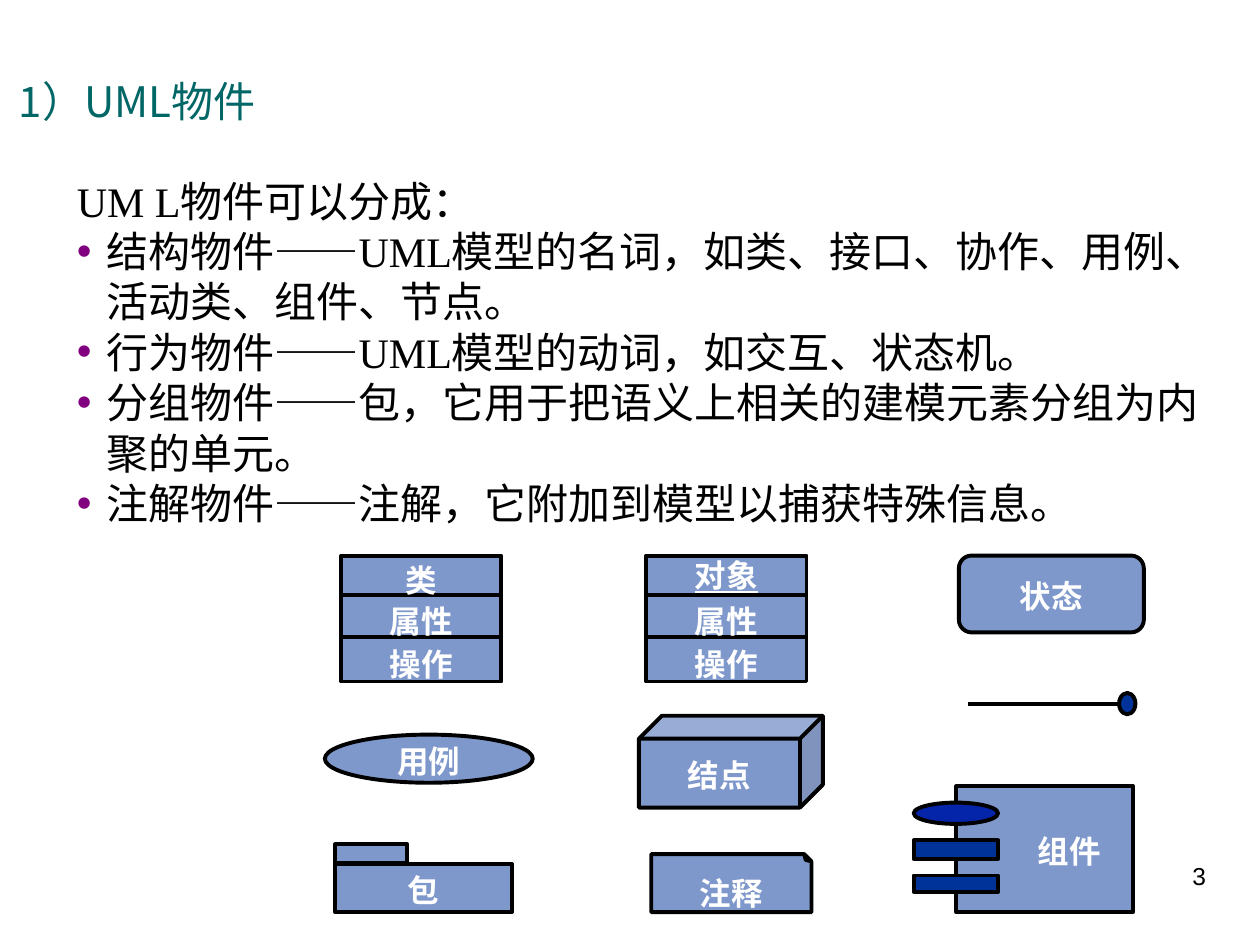
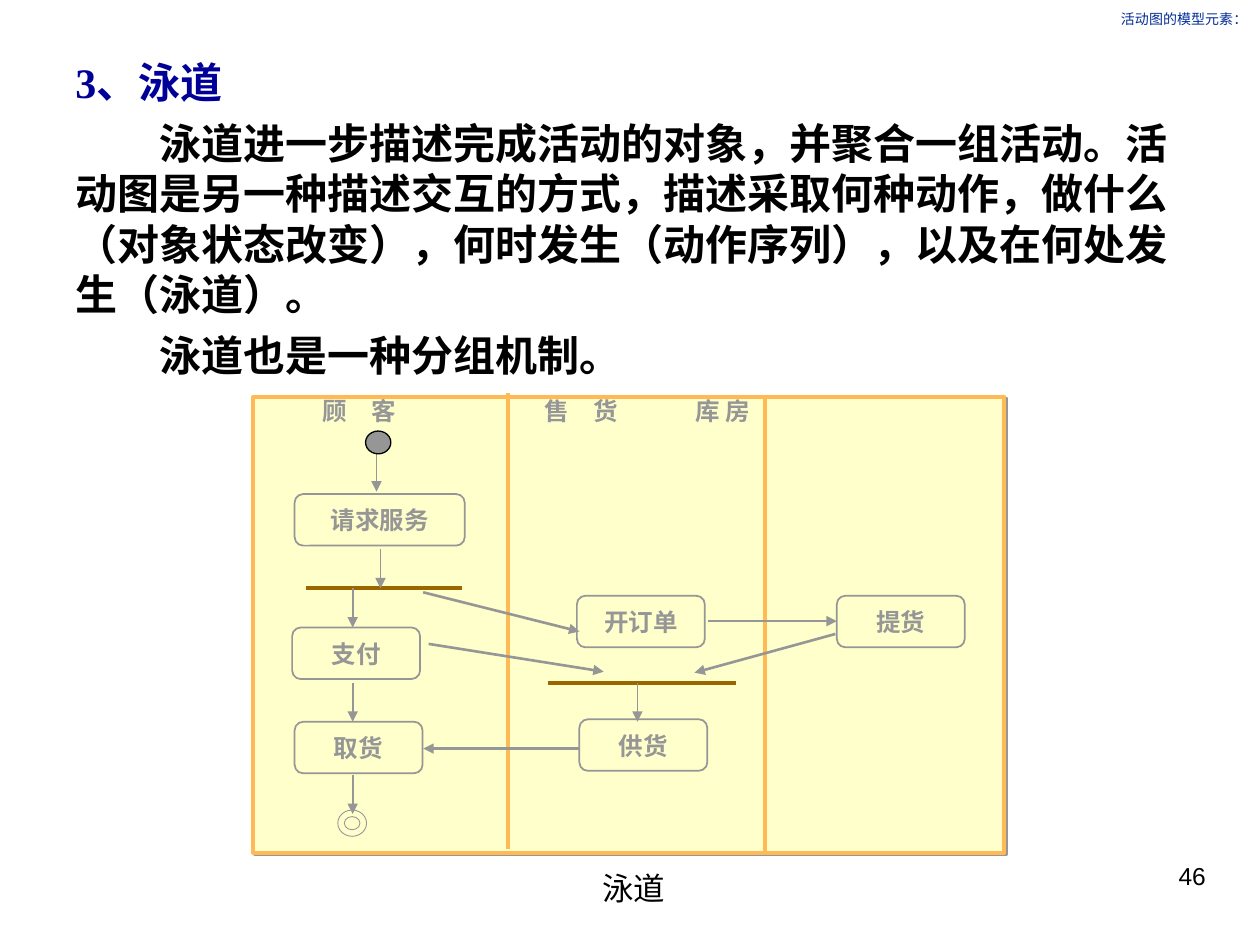
from dataclasses import dataclass

from lxml import etree
from pptx import Presentation
from pptx.dml.color import RGBColor
from pptx.enum.shapes import MSO_CONNECTOR, MSO_SHAPE
from pptx.enum.text import MSO_ANCHOR, PP_ALIGN
from pptx.oxml.ns import qn
from pptx.util import Cm, Pt

LEFT, MID, RIGHT = PP_ALIGN.LEFT, PP_ALIGN.CENTER, PP_ALIGN.RIGHT
TOP, CENTRE = MSO_ANCHOR.TOP, MSO_ANCHOR.MIDDLE
STRAIGHT = MSO_CONNECTOR.STRAIGHT
RECT, ROUND, OVAL = MSO_SHAPE.RECTANGLE, MSO_SHAPE.ROUNDED_RECTANGLE, MSO_SHAPE.OVAL
CUBE, NOTE, DONUT = MSO_SHAPE.CUBE, MSO_SHAPE.FOLDED_CORNER, MSO_SHAPE.DONUT
START = MSO_SHAPE.FLOWCHART_CONNECTOR


@dataclass(frozen=True)
class Theme:
    # Colours
    ink: str = "000000"
    white: str = "FFFFFF"
    teal: str = "006666"
    purple: str = "800080"
    blue: str = "003399"
    royal: str = "0424AA"
    navy: str = "000099"
    head: str = "022D98"
    grey: str = "969696"
    cream: str = "FFFFCC"
    amber: str = "FFBA55"
    brown: str = "996600"
    # Fonts
    serif: str = "Times New Roman"
    sans: str = "Arial"
    asian: str = "Noto Sans CJK SC"
    # Type sizes and line widths in points
    body: int = 24
    label: int = 18
    small: int = 14
    dot: int = 12
    tiny: int = 8
    thick: float = 2.25
    flow: float = 1.5
    thin: float = 1


T = Theme()
TIGHT = 1.08


def rgb(code):
    return RGBColor.from_string(code)


def add(parent, tag, **attrs):
    """Append a DrawingML element."""
    node = etree.SubElement(parent, qn("a:" + tag))
    for key, value in attrs.items():
        node.set(key, str(value))
    return node


def write(shape, text, size=T.body, color=T.ink, font=T.asian, bold=False,
          line=False, align=LEFT, lead=1.2, before=0, first=0, hang=0):
    """Add a paragraph to a shape, hung on a bullet when hang is given."""
    frame = shape.text_frame
    para = frame.add_paragraph() if frame.text else frame.paragraphs[0]
    para.alignment = align
    para.line_spacing = Pt(round(size * lead, 1))
    para.space_before = Pt(before)
    props = para._p.get_or_add_pPr()
    props.set("marL", str(Cm(hang)))
    props.set("indent", str(Cm(first - hang)))
    if hang:
        add(add(props, "buClr"), "srgbClr", val=T.purple)
        add(props, "buFont", typeface=T.sans)
        add(props, "buChar", char="•")
    run = para.add_run()
    run.text = text
    face = run.font
    face.size, face.bold, face.underline, face.name = Pt(size), bold, line, font
    face.color.rgb = rgb(color)
    add(run._r.get_or_add_rPr(), "ea", typeface=T.asian)


def inset(shape, left=0.25, anchor=TOP):
    frame = shape.text_frame
    frame.word_wrap = True
    frame.vertical_anchor = anchor
    frame.margin_left, frame.margin_right = Cm(left), Cm(0.25)
    frame.margin_top, frame.margin_bottom = Cm(0.2), Cm(0.13)


def text_box(slide, x, y, w, h, anchor=TOP):
    shape = slide.shapes.add_textbox(Cm(x), Cm(y), Cm(w), Cm(h))
    inset(shape, anchor=anchor)
    return shape


def draw(slide, kind, x, y, w, h, fill=None, edge=T.ink, width=T.thick, clear=False):
    shape = slide.shapes.add_shape(kind, Cm(x), Cm(y), Cm(w), Cm(h))
    shape.shadow.inherit = False
    if fill:
        shape.fill.solid()
        shape.fill.fore_color.rgb = rgb(fill)
        if clear:
            color = shape._element.spPr.find(qn("a:solidFill"))[0]
            add(color, "alpha", val=50000)
    else:
        shape.fill.background()
    shape.line.color.rgb = rgb(edge)
    shape.line.width = Pt(width)
    inset(shape, anchor=CENTRE)
    return shape


def link(slide, x1, y1, x2, y2, color=T.ink, width=T.thick, arrow=False):
    line = slide.shapes.add_connector(STRAIGHT, Cm(x1), Cm(y1), Cm(x2), Cm(y2))
    line.line.color.rgb = rgb(color)
    line.line.width = Pt(width)
    if arrow:
        add(line.line._get_or_add_ln(), "tailEnd", type="triangle")
    add(line._element.spPr, "effectLst")


def page(slide, number):
    box = text_box(slide, 18.21, 17.15, 6.35, 1.32)
    write(box, number, size=T.small, font=T.sans, align=RIGHT)


# UML symbols

def name(shape, text, **form):
    write(shape, text, size=T.label, color=T.white, font=T.serif, bold=True,
          align=MID, **form)


def glass(slide, kind, x, y, w, h, text=""):
    shape = draw(slide, kind, x, y, w, h, fill=T.blue, clear=True)
    if text:
        name(shape, text)
    return shape


def table_box(slide, x, y, w, h, title, lift, line):
    """Class or object: three rows split by two lines."""
    glass(slide, RECT, x, y, w, h)
    for drop in (0.79, 1.65):
        link(slide, x, y + drop, x + w, y + drop)
    for text, drop, under in ((title, -lift, line), ("属性", 0.74, False),
                              ("操作", 1.6, False)):
        name(text_box(slide, x, y + drop, w, 1.02), text, line=under)


def package_box(slide, x, y, w, h):
    glass(slide, RECT, x, y + 0.4, w, h - 0.4, "包")
    glass(slide, RECT, x, y, 1.45, 0.38)


def note_box(slide, x, y, w, h):
    shape = glass(slide, NOTE, x, y, w, h)
    props = shape._element.spPr
    props.find(qn("a:xfrm")).set("flipV", "1")
    folds = props.find(qn("a:prstGeom")).find(qn("a:avLst"))
    add(folds, "gd", name="adj", fmla="val 12500")
    name(text_box(slide, x, y + 0.2, w, 1.02), "注释")


def port(slide, x, y, w, h):
    """Interface: a line ending in a small ball."""
    link(slide, x, y + h / 2, x + w - 0.3, y + h / 2)
    draw(slide, OVAL, x + w - 0.33, y, 0.33, h, fill=T.blue)


def part_box(slide, x, y, w, h):
    """Component with its lugs on the left edge."""
    shape = glass(slide, RECT, x, y, w, h, "组件")
    inset(shape, left=1.24, anchor=CENTRE)
    for kind, drop, tall, fill in ((RECT, 1.09, 0.38, T.blue),
                                   (RECT, 1.8, 0.33, T.blue),
                                   (OVAL, 0.33, 0.43, T.royal)):
        draw(slide, kind, x - 0.86, y + drop, 1.7, tall, fill=fill)


def things(slide):
    # Title and text
    write(text_box(slide, 0.13, 1.32, 5.87, 1.27), "1）UML物件", color=T.teal)
    box = text_box(slide, 1.3, 3.33, 23.6, 7.37)
    write(box, "UM L物件可以分成：", font=T.serif)
    for text in (
        "结构物件——UML模型的名词，如类、接口、协作、用例、活动类、组件、节点。",
        "行为物件——UML模型的动词，如交互、状态机。",
        "分组物件——包，它用于把语义上相关的建模元素分组为内聚的单元。",
        "注解物件——注解，它附加到模型以捕获特殊信息。",
    ):
        write(box, text, font=T.serif, hang=0.6)
    # Symbols, column by column
    table_box(slide, 6.88, 11.2, 3.23, 2.54, "类", 0.1, False)
    glass(slide, OVAL, 6.55, 14.81, 4.19, 0.97, "用例")
    package_box(slide, 6.76, 17.02, 3.56, 1.37)
    table_box(slide, 13.03, 11.2, 3.23, 2.54, "对象", 0.2, True)
    glass(slide, CUBE, 12.88, 14.43, 3.71, 1.85, "结点")
    note_box(slide, 13.13, 17.22, 3.23, 1.17)
    glass(slide, ROUND, 19.33, 11.2, 3.73, 1.55, "状态")
    port(slide, 19.51, 13.97, 3.38, 0.43)
    part_box(slide, 19.28, 15.85, 3.56, 2.54)
    page(slide, "3")


# Swimlane diagram

def lanes(slide, x, y, w, h):
    # Frame, dividers and lane names
    frame = draw(slide, RECT, x, y, w, h, fill=T.cream, edge=T.amber)
    effects = frame._element.spPr.find(qn("a:effectLst"))
    shade = add(effects, "outerShdw", dist=Pt(1.4), dir=2700000)
    add(shade, "srgbClr", val=T.grey)
    for left, drop in ((5.13, -0.08), (10.31, 0)):
        link(slide, x + left, y + drop, x + left, y + drop + h, color=T.amber)
    form = dict(color=T.grey, bold=True, lead=TIGHT)
    for left, text in ((1.14, "顾　客"), (5.61, "售　货"), (8.66, "库 房")):
        box = text_box(slide, x + left, y - 0.15, 2.5, 0.79)
        write(box, text, size=T.small, **form)
    # Start and end
    box = text_box(slide, x + 1.42, y + 0.51, 2.29, 0.71)
    write(box, "●", size=T.dot, align=MID, **form)
    draw(slide, DONUT, x + 1.7, y + 8.33, 0.58, 0.53, edge=T.grey, width=0.5)
    # Actions
    for text, left, drop, wide in (
        ("请求服务", 0.83, 1.96, 3.43), ("支付", 0.78, 4.65, 2.58),
        ("取货", 0.83, 6.55, 2.58), ("提货", 11.76, 4.01, 2.58),
        ("开订单", 6.52, 4.01, 2.58), ("供货", 6.57, 6.5, 2.58),
    ):
        box = draw(slide, ROUND, x + left, y + drop, wide, 1.04,
                   edge=T.grey, width=T.thin)
        write(box, text, size=T.small, align=MID, **form)
    # Fork and join bars
    for left, right, drop in ((1.06, 4.21, 3.86), (5.94, 9.72, 5.77)):
        link(slide, x + left, y + drop, x + right, y + drop, color=T.brown)
    # Steps down a lane
    for left, top, end in (
        (2.48, 1.04, 1.91), (2.56, 3.07, 3.86), (2, 3.86, 4.65),
        (2, 5.77, 6.55), (2, 7.62, 8.41), (7.74, 5.77, 6.55),
    ):
        link(slide, x + left, y + top, x + left, y + end,
             color=T.grey, width=T.thin, arrow=True)
    # Flows between lanes
    for x1, y1, x2, y2 in (
        (3.42, 3.94, 6.57, 4.73), (6.57, 7.09, 3.42, 7.09),
        (9.16, 4.52, 11.76, 4.52), (3.53, 4.98, 7.06, 5.54),
        (11.73, 4.78, 8.89, 5.56),
    ):
        link(slide, x + x1, y + y1, x + x2, y + y2,
             color=T.grey, width=T.flow, arrow=True)
    draw(slide, START, x + 2.26, y + 0.69, 0.51, 0.46, fill=T.grey, width=0.75)


def swim(slide):
    # Running head
    box = text_box(slide, 19.15, 0, 6.25, 0.69, anchor=CENTRE)
    write(box, "活动图的模型元素：", size=T.tiny, color=T.head, font=T.sans, align=RIGHT)
    # Text
    box = text_box(slide, 1.27, 0.94, 23.27, 6.78)
    write(box, "3、泳道", color=T.navy, font=T.serif, bold=True)
    for text in (
        "泳道进一步描述完成活动的对象，并聚合一组活动。活动图是另一种描述交互的方式，"
        "描述采取何种动作，做什么（对象状态改变），何时发生（动作序列），"
        "以及在何处发生（泳道）。",
        "泳道也是一种分组机制。",
    ):
        write(box, text, bold=True, before=6, first=1.69)
    # Diagram and caption
    lanes(slide, 5.11, 8, 15.14, 9.19)
    write(text_box(slide, 8.89, 17.32, 7.77, 1.02), "泳道", size=T.label, align=MID)
    page(slide, "46")


def main():
    deck = Presentation()
    deck.slide_width, deck.slide_height = Cm(25.4), Cm(19.05)
    for build in (things, swim):
        build(deck.slides.add_slide(deck.slide_layouts[6]))
    deck.save("out.pptx")


if __name__ == "__main__":
    main()
